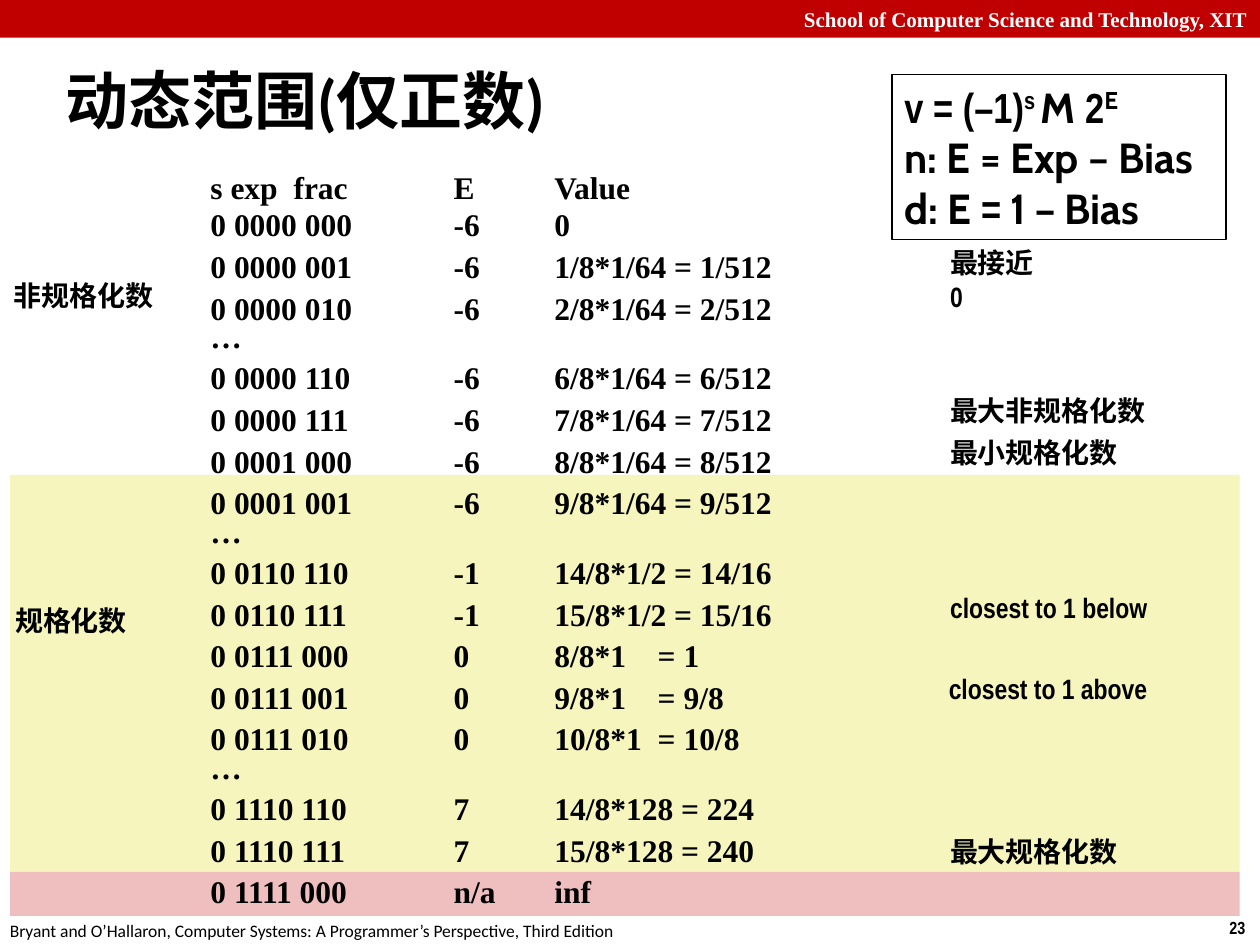
import pptx
import pptx.util
import pptx.dml.color
import pptx.enum.shapes
import pptx.enum.text
from lxml import etree

Inches = pptx.util.Inches
ALIGN = pptx.enum.text.PP_ALIGN
ANCHOR = pptx.enum.text.MSO_ANCHOR
NARROW, SERIF, SANS, ROUND = "Arial Narrow", "Times New Roman", "Calibri", "Cabin"

# Bits, exponent and value of each row; None marks skipped rows
ROWS = [
    ("s exp\tfrac", "E", "Value"),
    ("0 0000 000", "-6", "0"),
    ("0 0000 001", "-6", "1/8*1/64 = 1/512"),
    ("0 0000 010", "-6", "2/8*1/64 = 2/512"),
    None,
    ("0 0000 110", "-6", "6/8*1/64 = 6/512"),
    ("0 0000 111", "-6", "7/8*1/64 = 7/512"),
    ("0 0001 000", "-6", "8/8*1/64 = 8/512"),
    ("0 0001 001", "-6", "9/8*1/64 = 9/512"),
    None,
    ("0 0110 110", "-1", "14/8*1/2 = 14/16"),
    ("0 0110 111", "-1", "15/8*1/2 = 15/16"),
    ("0 0111 000", "0", "8/8*1\t= 1"),
    ("0 0111 001", "0", "9/8*1\t= 9/8"),
    ("0 0111 010", "0", "10/8*1\t= 10/8"),
    None,
    ("0 1110 110", "7", "14/8*128 = 224"),
    ("0 1110 111", "7", "15/8*128 = 240"),
    ("0 1111 000", "n/a", "inf"),
]
STOPS = (0.66, 1.93, 2.73, 3.55)

# Text, left, top, width, wrap
LABELS = [
    ("最接近0", 7.5, 1.91, 0.8, True),
    ("最大非规格化数", 7.5, 3.08, 1.65, False),
    ("最小规格化数", 7.5, 3.42, 1.43, False),
    ("closest to 1 below", 7.5, 4.65, 2.02, False),
    ("closest to 1 above", 7.49, 5.29, 2.03, False),
    ("最大规格化数", 7.5, 6.58, 1.43, False),
    ("非规格化数", 0.07, 2.17, 1.21, False),
    ("规格化数", 0.08, 4.75, 0.98, False),
]

# Lines of the formula: text, font, raised
RULES = [
    [("v = (–1)", NARROW, False), ("s ", NARROW, True), ("M ", ROUND, False),
     ("2", NARROW, False), ("E", ROUND, True)],
    [("n: E = Exp – Bias", ROUND, False)],
    [("d: E", ROUND, False), (" = ", NARROW, False), ("1 ", ROUND, False),
     ("– ", NARROW, False), ("Bias", ROUND, False)],
]


def color(code):
    """Turn a hex string into a colour."""
    return pptx.dml.color.RGBColor.from_string(code)


def add_run(para, text, size, font, bold=True, ink="000000", raised=False):
    """Add one styled run to a paragraph."""
    run = para.add_run()
    run.text = text
    run.font.size = pptx.util.Pt(size)
    run.font.name = font
    run.font.bold = bold
    run.font.color.rgb = color(ink)
    if raised:
        run.font._element.set("baseline", "32000")


def add_rect(slide, left, top, width, height, fill=None, line=None):
    """Draw a rectangle with an optional fill and outline."""
    rect = slide.shapes.add_shape(
        pptx.enum.shapes.MSO_SHAPE.RECTANGLE,
        Inches(left), Inches(top), Inches(width), Inches(height))
    rect.shadow.inherit = False
    if fill:
        rect.fill.solid()
        rect.fill.fore_color.rgb = color(fill)
    else:
        rect.fill.background()
    if line:
        rect.line.color.rgb = color(line)
        rect.line.width = pptx.util.Pt(0.75)
    else:
        rect.line.fill.background()
    return rect


def add_box(slide, left, top, width, height, wrap=False, inset=None):
    """Add a text box and return its frame."""
    frame = slide.shapes.add_textbox(
        Inches(left), Inches(top), Inches(width), Inches(height)).text_frame
    frame.word_wrap = wrap
    if inset is not None:
        frame.margin_left = frame.margin_right = Inches(inset)
        frame.margin_top = frame.margin_bottom = Inches(inset)
    return frame


def next_para(frame, index):
    """Return the first paragraph, or a new one after it."""
    return frame.add_paragraph() if index else frame.paragraphs[0]


def set_tabs(para):
    """Give a paragraph the column stops."""
    props = para._p.get_or_add_pPr()
    space = "{http://schemas.openxmlformats.org/drawingml/2006/main}"
    tabs = etree.SubElement(props, space + "tabLst")
    for stop in STOPS:
        etree.SubElement(tabs, space + "tab", pos=str(Inches(stop)), algn="l")


def add_rows(slide):
    """Write the number rows in tabbed columns."""
    frame = add_box(slide, 1.67, 1.33, 5.08, 6.08, True, 0)
    for index, row in enumerate(ROWS):
        para = next_para(frame, index)
        if index > 1:
            para.line_spacing = 1.1 if row else 0.75
        set_tabs(para)
        add_run(para, "\t".join(row) if row else "…", 18, SERIF)


def add_rules(slide):
    """Write the formula in its framed box."""
    frame = add_rect(slide, 7.08, 0.59, 2.65, 1.31, line="000000").text_frame
    frame.word_wrap = True
    for index, parts in enumerate(RULES):
        para = next_para(frame, index)
        para.alignment = ALIGN.LEFT
        for text, font, raised in parts:
            add_run(para, text, 24, font, raised=raised)


def add_frame(slide):
    """Add the top bar, footer and page number."""
    bar = add_rect(slide, 0, 0, 10, 0.3, "C00000").text_frame
    bar.word_wrap = True
    para = bar.paragraphs[0]
    para.alignment = ALIGN.RIGHT
    add_run(para, "School of Computer Science and Technology, XIT", 12, SERIF,
            ink="FFFFFF")
    page = add_box(slide, 9.66, 7.23, 0.34, 0.27)
    add_run(page.paragraphs[0], "23", 10, NARROW)
    foot = add_box(slide, -0.02, 7.25, 5.08, 0.27)
    add_run(foot.paragraphs[0], "Bryant and O’Hallaron, Computer Systems: "
            "A Programmer’s Perspective, Third Edition", 10, SANS, False)


def main():
    """Build the slide and save it."""
    deck = pptx.Presentation()
    deck.slide_width, deck.slide_height = Inches(10), Inches(7.5)
    slide = deck.slides.add_slide(deck.slide_layouts[6])
    add_frame(slide)
    add_rect(slide, 0.08, 3.77, 9.76, 3.17, "F6F5BD")
    title = add_box(slide, 0.42, 0.28, 9.17, 1.01, True)
    title.vertical_anchor = ANCHOR.MIDDLE
    add_run(title.paragraphs[0], "动态范围(仅正数)", 36, SANS)
    for text, left, top, width, wrap in LABELS:
        label = add_box(slide, left, top, width, 0.35, wrap, 0.04)
        add_run(label.paragraphs[0], text, 16, NARROW)
    add_rules(slide)
    add_rect(slide, 0.08, 6.92, 9.76, 0.35, "EFBFBF")
    add_rows(slide)
    deck.save("out.pptx")


main()
